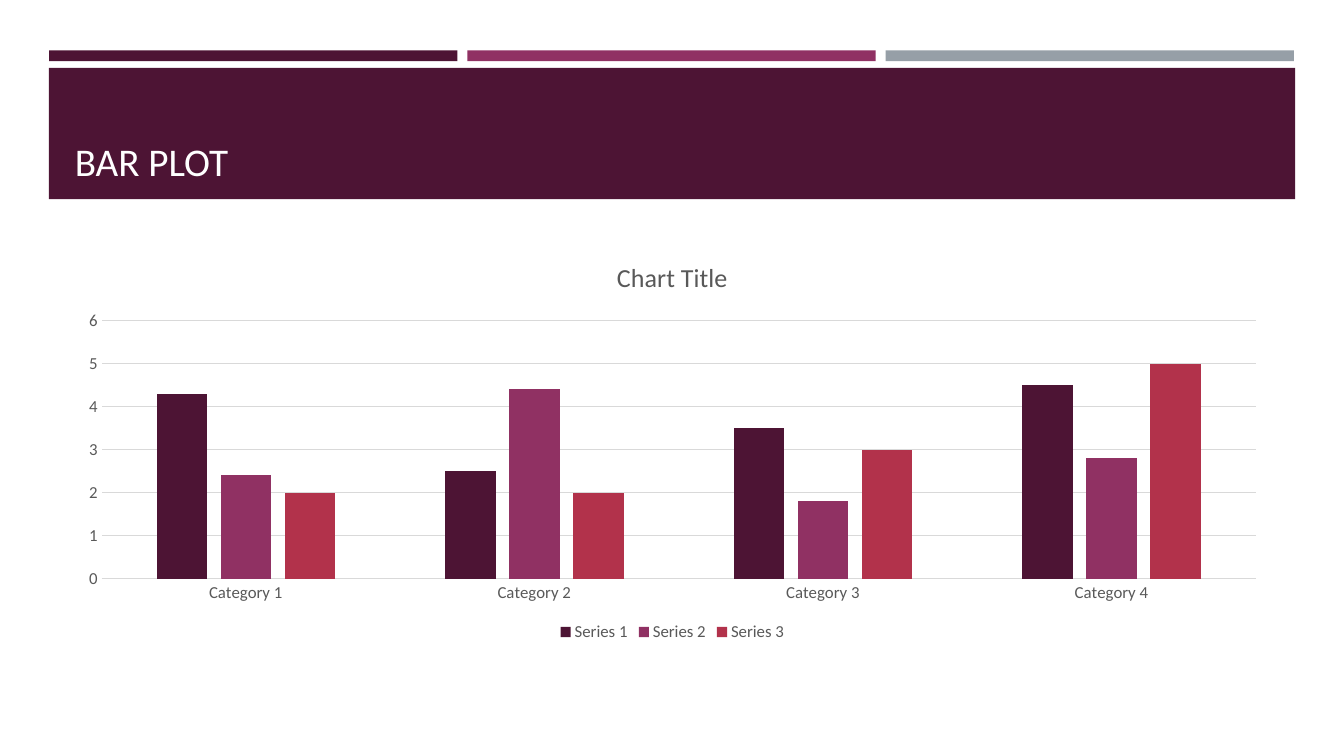
from pptx import Presentation
from pptx.chart.data import CategoryChartData
from pptx.dml.color import RGBColor
from pptx.enum.chart import XL_CHART_TYPE, XL_LEGEND_POSITION, XL_TICK_MARK
from pptx.enum.shapes import MSO_SHAPE
from pptx.enum.text import MSO_ANCHOR, MSO_AUTO_SIZE, PP_ALIGN
from pptx.util import Cm, Pt

PLUM = RGBColor(0x4D, 0x14, 0x34)
MAGENTA = RGBColor(0x90, 0x31, 0x63)
RED = RGBColor(0xB2, 0x32, 0x4B)
SLATE = RGBColor(0x96, 0x9F, 0xA7)
WHITE = RGBColor(0xFF, 0xFF, 0xFF)
TEXT_GRAY = RGBColor(0x59, 0x59, 0x59)
LINE_GRAY = RGBColor(0xD9, 0xD9, 0xD9)
FONT = "Calibri"

# Content
TITLE = "BAR PLOT"
CHART_TITLE = "Chart Title"
CATEGORIES = ["Category 1", "Category 2", "Category 3", "Category 4"]
SERIES = [
    ("Series 1", (4.3, 2.5, 3.5, 4.5), PLUM),
    ("Series 2", (2.4, 4.4, 1.8, 2.8), MAGENTA),
    ("Series 3", (2, 2, 3, 5), RED),
]
STRIPES = [PLUM, MAGENTA, SLATE]

# Layout in centimetres
STRIPE_LEFT, STRIPE_WIDTH, STRIPE_GAP = 1.24, 10.29, 0.25
CONTENT_LEFT, CONTENT_WIDTH = 1.63, 30.63


def add_block(slide, left, top, width, height, color):
    shape = slide.shapes.add_shape(
        MSO_SHAPE.RECTANGLE, Cm(left), Cm(top), Cm(width), Cm(height))
    shape.shadow.inherit = False
    shape.fill.solid()
    shape.fill.fore_color.rgb = color
    shape.line.fill.background()


def style_font(font, size, color):
    font.name = FONT
    font.size = Pt(size)
    font.bold = False
    font.color.rgb = color


def style_line(line):
    line.color.rgb = LINE_GRAY
    line.width = Pt(0.75)


def add_header(slide):
    for index, color in enumerate(STRIPES):
        left = STRIPE_LEFT + index * (STRIPE_WIDTH + STRIPE_GAP)
        add_block(slide, left, 1.27, STRIPE_WIDTH, 0.27, color)
    add_block(slide, 1.23, 1.71, 31.41, 3.31, PLUM)

    # Title, brought in front of the banner
    title = slide.shapes.title
    slide.shapes._spTree.append(title._element)
    title.left, title.top = Cm(CONTENT_LEFT), Cm(1.96)
    title.width, title.height = Cm(CONTENT_WIDTH), Cm(2.82)
    frame = title.text_frame
    frame.auto_size = MSO_AUTO_SIZE.NONE
    frame.word_wrap = True
    frame.vertical_anchor = MSO_ANCHOR.BOTTOM
    paragraph = frame.paragraphs[0]
    paragraph.alignment = PP_ALIGN.LEFT
    paragraph.line_spacing = 0.9
    run = paragraph.add_run()
    run.text = TITLE
    style_font(run.font, 28, WHITE)


def add_bar_chart(slide):
    data = CategoryChartData()
    data.categories = CATEGORIES
    for name, values, _ in SERIES:
        data.add_series(name, values)
    chart = slide.shapes.add_chart(
        XL_CHART_TYPE.COLUMN_CLUSTERED, Cm(CONTENT_LEFT), Cm(6.07),
        Cm(CONTENT_WIDTH), Cm(10.21), data).chart
    style_font(chart.font, 12, TEXT_GRAY)

    # Chart title and legend
    chart.has_title = True
    run = chart.chart_title.text_frame.paragraphs[0].add_run()
    run.text = CHART_TITLE
    style_font(run.font, 18.6, TEXT_GRAY)
    chart.chart_title.include_in_layout = False
    chart.has_legend = True
    chart.legend.position = XL_LEGEND_POSITION.BOTTOM
    chart.legend.include_in_layout = False
    style_font(chart.legend.font, 12, TEXT_GRAY)

    # Bars
    plot = chart.plots[0]
    plot.gap_width = 219
    plot.overlap = -27
    plot.vary_by_categories = False
    for series, (_, _, color) in zip(plot.series, SERIES):
        series.format.fill.solid()
        series.format.fill.fore_color.rgb = color

    # Axes
    for axis in (chart.category_axis, chart.value_axis):
        axis.major_tick_mark = XL_TICK_MARK.NONE
        axis.minor_tick_mark = XL_TICK_MARK.NONE
        style_font(axis.tick_labels.font, 12, TEXT_GRAY)
    style_line(chart.category_axis.format.line)
    value_axis = chart.value_axis
    value_axis.minimum_scale, value_axis.maximum_scale = 0, 6
    value_axis.major_unit = 1
    value_axis.format.line.fill.background()
    value_axis.has_major_gridlines = True
    style_line(value_axis.major_gridlines.format.line)


def main():
    presentation = Presentation()
    presentation.slide_width, presentation.slide_height = Cm(33.87), Cm(19.05)
    slide = presentation.slides.add_slide(presentation.slide_layouts[5])
    add_header(slide)
    add_bar_chart(slide)
    presentation.save("out.pptx")


if __name__ == "__main__":
    main()
